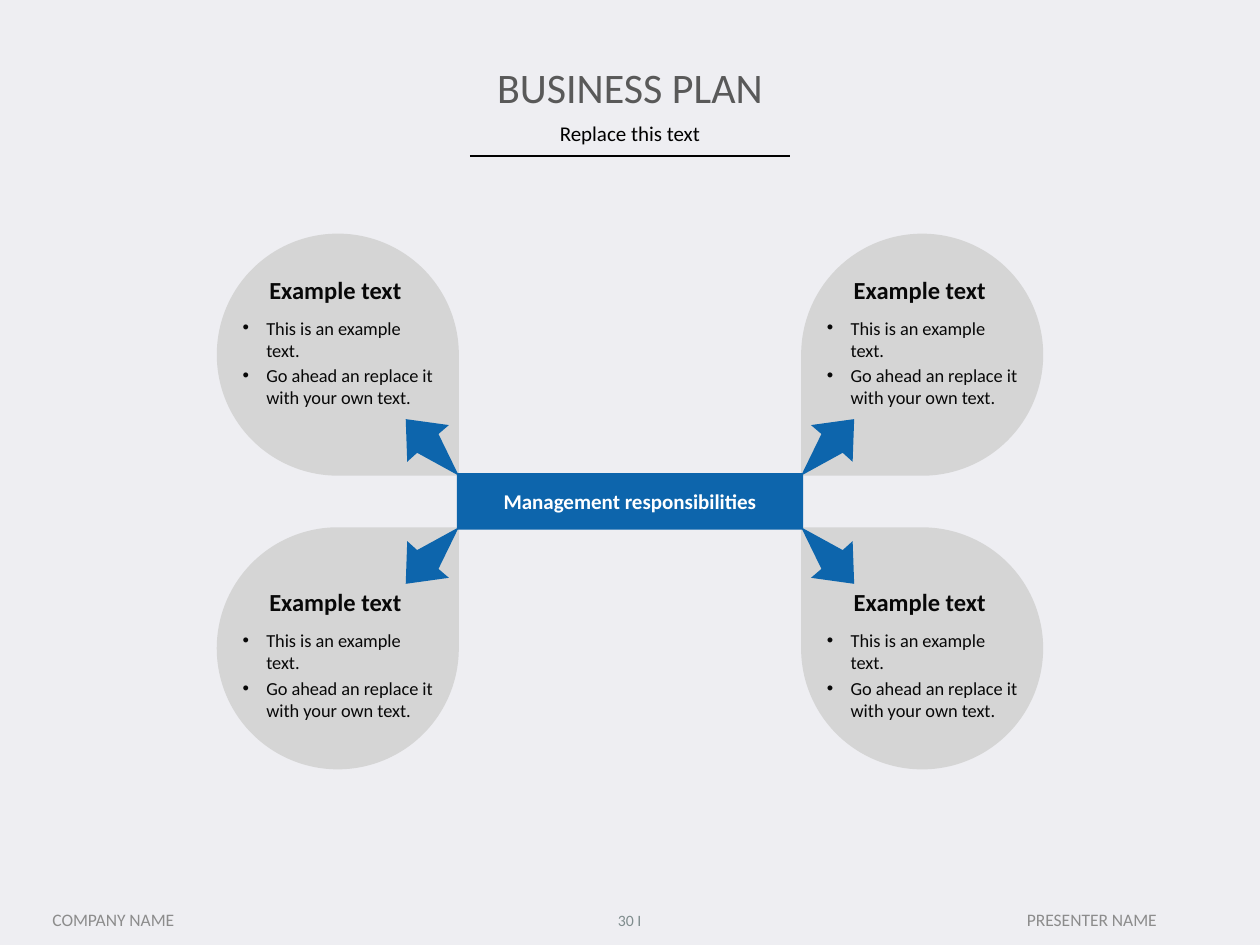
"""Build a business plan slide with four drops around a central bar."""
import pptx
import pptx.util
import pptx.dml.color
import pptx.enum.shapes
import pptx.enum.text
import pptx.oxml
import pptx.oxml.ns

Cm, Pt = pptx.util.Cm, pptx.util.Pt
RGB = pptx.dml.color.RGBColor
SHAPE = pptx.enum.shapes.MSO_SHAPE
ALIGN = pptx.enum.text.PP_ALIGN
ANCHOR = pptx.enum.text.MSO_ANCHOR

BACK = RGB(0xEE, 0xEE, 0xF2)
GREY = RGB(0xD5, 0xD5, 0xD5)
BLUE = RGB(0x0D, 0x65, 0xAC)
INK = RGB(0x08, 0x08, 0x08)
BLACK = RGB(0, 0, 0)
WHITE = RGB(255, 255, 255)
TITLE = RGB(0x59, 0x59, 0x59)
FOOT = RGB(0x8C, 0x8C, 0x8C)
PAGE = RGB(0x7F, 0x8C, 0x8D)

HEAD = "Example text"
BODY = ["This is an example text.", "Go ahead an replace it with your own text."]
DROPS = [
    dict(side=-1, row=1, turn=0, head=HEAD, body=BODY),
    dict(side=-1, row=-1, turn=90, head=HEAD, body=BODY),
    dict(side=1, row=-1, turn=180, head=HEAD, body=BODY),
    dict(side=1, row=1, turn=270, head=HEAD, body=BODY),
]
FOOTER = [
    ("COMPANY NAME", 0.43, 3.71, 10, FOOT),
    ("30 I", 12.06, 1.27, 9, PAGE),
    ("PRESENTER NAME", 19.05, 5.92, 10, FOOT),
]
ARROW = [(1.04, 0.28), (1.07, 1.14), (0.2, 1.02), (0.41, 0.84), (0, 0), (0.84, 0.46)]
MID_X, MID_Y = 12.7, 10.11
GAP_X, GAP_Y = 3.45, 0.52
SIZE = 4.88


def write(shape, lines, size=10.5, color=INK, bold=False, align=ALIGN.CENTER,
          anchor=ANCHOR.TOP, wrap=True, bullet=False, space=None):
    frame = shape.text_frame
    frame.word_wrap = wrap
    frame.auto_size = pptx.enum.text.MSO_AUTO_SIZE.NONE
    frame.vertical_anchor = anchor
    for i, line in enumerate(lines):
        para = frame.add_paragraph() if i else frame.paragraphs[0]
        para.alignment = align
        para.line_spacing = space
        if i:
            para.space_before = Pt(size * 0.2)
        run = para.add_run()
        run.text = line
        font = run.font
        font.name, font.size, font.bold = "Calibri", Pt(size), bold
        font.color.rgb = color
        if bullet:
            props = para._p.get_or_add_pPr()
            props.set("marL", str(Cm(0.48)))
            props.set("indent", str(-Cm(0.48)))
            for tag, key, val in (("buFont", "typeface", "Arial"), ("buChar", "char", "•")):
                mark = pptx.oxml.ns.qn("a:" + tag)
                props.append(props.makeelement(mark, {key: val}))


def box(slide, x, y, w, h):
    return slide.shapes.add_textbox(Cm(x), Cm(y), Cm(w), Cm(h))


def paint(shape, color):
    shape.shadow.inherit = False
    shape.fill.solid()
    shape.fill.fore_color.rgb = color
    shape.line.fill.background()


def add_drop(slide, side, row, turn, head, body):
    edge_x, edge_y = MID_X + side * GAP_X, MID_Y + row * GAP_Y
    left = edge_x if side > 0 else edge_x - SIZE
    top = edge_y if row > 0 else edge_y - SIZE
    drop = slide.shapes.add_shape(SHAPE.TEAR, Cm(left), Cm(top), Cm(SIZE), Cm(SIZE))
    drop.rotation = turn
    paint(drop, GREY)

    pts = [(Cm(edge_x + side * x), Cm(edge_y + row * y)) for x, y in ARROW]
    path = slide.shapes.build_freeform(*pts[0])
    path.add_line_segments(pts[1:], close=True)
    paint(path.convert_to_shape(), BLUE)

    text_y = top + (1.93 if row > 0 else 1.55)
    write(box(slide, left + 0.27, text_y, 4.42, 2.13), body,
          align=ALIGN.LEFT, bullet=True)
    write(box(slide, left + 0.81, text_y - 0.85, 3.2, 0.86), [head],
          size=14, bold=True, align=ALIGN.LEFT, wrap=False)


def main():
    deck = pptx.Presentation()
    deck.slide_width, deck.slide_height = Cm(25.4), Cm(19.05)
    slide = deck.slides.add_slide(deck.slide_layouts[5])
    slide.background.fill.solid()
    slide.background.fill.fore_color.rgb = BACK

    title = slide.shapes.title
    title.left, title.top, title.width, title.height = Cm(1.75), Cm(1.12), Cm(21.9), Cm(1.27)
    write(title, ["BUSINESS PLAN"], size=24, color=TITLE, anchor=ANCHOR.MIDDLE)
    write(box(slide, 1.75, 2.41, 21.9, 0.69), ["Replace this text"],
          size=12, color=BLACK, space=0.8)

    rule = slide.shapes.add_connector(
        pptx.enum.shapes.MSO_CONNECTOR.STRAIGHT, Cm(9.47), Cm(3.15), Cm(15.93), Cm(3.15))
    rule.line.color.rgb = BLACK
    rule.line.width = Pt(1)
    props = rule._element.spPr
    props.append(props.makeelement(pptx.oxml.ns.qn("a:effectLst"), {}))

    for drop in DROPS:
        add_drop(slide, **drop)

    bar = slide.shapes.add_shape(
        SHAPE.RECTANGLE, Cm(MID_X - 3.49), Cm(MID_Y - 0.57), Cm(6.98), Cm(1.14))
    paint(bar, BLUE)
    write(bar, ["Management responsibilities"], size=12, color=WHITE, bold=True,
          anchor=ANCHOR.MIDDLE)

    for text, x, w, size, color in FOOTER:
        write(box(slide, x, 18.01, w, 1.07), [text], size=size, color=color,
              anchor=ANCHOR.MIDDLE)

    deck.save("out.pptx")


if __name__ == "__main__":
    main()
